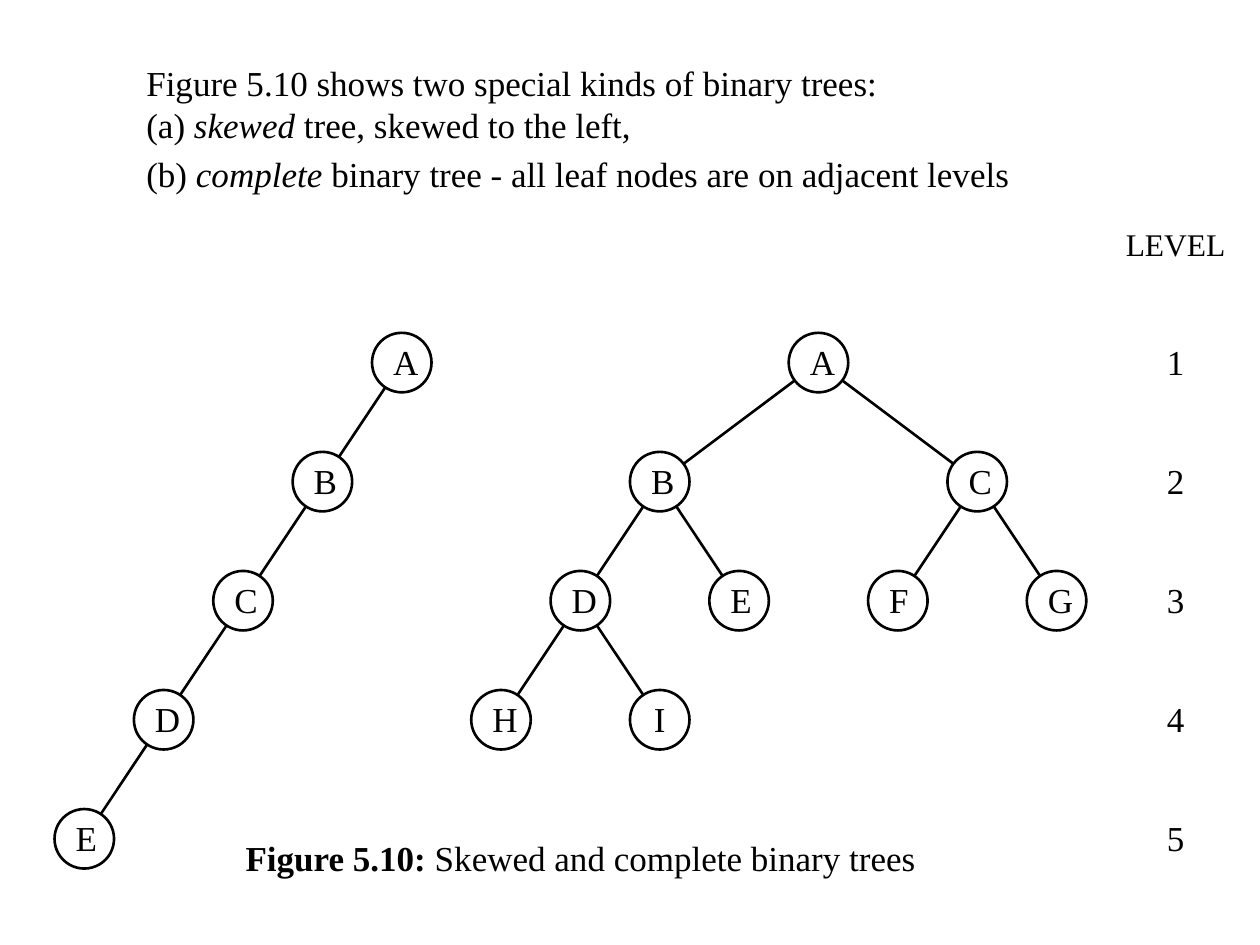
"""Build a slide comparing a skewed and a complete binary tree."""
from lxml.etree import SubElement
from pptx import Presentation
from pptx.dml.color import RGBColor
from pptx.enum.shapes import MSO_CONNECTOR, MSO_SHAPE
from pptx.enum.text import MSO_ANCHOR as Anchor, PP_ALIGN as Align
from pptx.oxml.ns import qn
from pptx.util import Cm, Pt

BLACK = RGBColor(0, 0, 0)
WHITE = RGBColor(255, 255, 255)
FONT = "Times New Roman"
NODE_SIZE, COLUMN_STEP, LEVEL_STEP, ROOT_Y = 1.2, 1.6, 2.4, 7.31
SKEWED_X, COMPLETE_X, LEVEL_X = 8.1, 16.5, 23.7


def add_run(paragraph, text, size=20, bold=False, italic=False):
    run = paragraph.add_run()
    run.text = text
    run.font.name = FONT
    run.font.size = Pt(size)
    run.font.bold = bold
    run.font.italic = italic
    run.font.color.rgb = BLACK


def add_node(label, x, y, outlined=True):
    node = slide.shapes.add_shape(
        MSO_SHAPE.OVAL, Cm(x - NODE_SIZE / 2), Cm(y - NODE_SIZE / 2), Cm(NODE_SIZE), Cm(NODE_SIZE))
    node.shadow.inherit = False
    node.fill.solid()
    node.fill.fore_color.rgb = WHITE
    if outlined:
        node.line.color.rgb = BLACK
        node.line.width = Pt(1.5)
    else:
        node.line.fill.background()
    frame = node.text_frame
    frame.vertical_anchor = Anchor.BOTTOM
    frame.margin_top, frame.margin_bottom = 0, Cm(0.03)
    frame.paragraphs[0].alignment = Align.CENTER
    add_run(frame.paragraphs[0], label)


prs = Presentation()
prs.slide_width, prs.slide_height = Cm(25.4), Cm(19.05)
slide = prs.slides.add_slide(prs.slide_layouts[6])

intro = slide.shapes.add_textbox(Cm(2.7), Cm(1.12), Cm(20), Cm(3.2)).text_frame
intro.word_wrap = True
kinds = intro.paragraphs[0]
kinds.space_before = Pt(4)
add_run(kinds, "Figure 5.10 shows two special kinds of binary trees:")
kinds.add_line_break()
add_run(kinds, "(a) ")
add_run(kinds, "skewed", italic=True)
add_run(kinds, " tree, skewed to the left,")
complete_kind = intro.add_paragraph()
complete_kind.space_before = Pt(4)
add_run(complete_kind, "(b) ")
add_run(complete_kind, "complete", italic=True)
add_run(complete_kind, " binary tree - all leaf nodes are on adjacent levels")

skewed_nodes = {label: (-level, level) for level, label in enumerate("ABCDE")}
complete_nodes = {
    "A": (0, 0), "B": (-2, 1), "C": (2, 1),
    "D": (-3, 2), "E": (-1, 2), "F": (1, 2), "G": (3, 2),
    "H": (-4, 3), "I": (-2, 3),
}
trees = [
    (SKEWED_X, skewed_nodes, ["AB", "BC", "CD", "DE"]),
    (COMPLETE_X, complete_nodes, ["AB", "AC", "BD", "BE", "CF", "CG", "DH", "DI"]),
]
for root_x, nodes, edges in trees:
    centers = {label: (root_x + column * COLUMN_STEP, ROOT_Y + level * LEVEL_STEP)
               for label, (column, level) in nodes.items()}
    for parent, child in edges:
        ends = [Cm(length) for length in centers[parent] + centers[child]]
        edge = slide.shapes.add_connector(MSO_CONNECTOR.STRAIGHT, *ends)
        edge.line.color.rgb = BLACK
        edge.line.width = Pt(1.5)
        SubElement(edge._element.spPr, qn("a:effectLst"))
    for label, (x, y) in centers.items():
        add_node(label, x, y)

for level in range(5):
    add_node(str(level + 1), LEVEL_X, ROOT_Y + level * LEVEL_STEP, outlined=False)

level_heading = slide.shapes.add_textbox(Cm(22.3), Cm(4.32), Cm(2.8), Cm(1.2)).text_frame
level_heading.word_wrap = False
level_heading.vertical_anchor = Anchor.MIDDLE
level_heading.margin_left = level_heading.margin_right = Cm(0.1)
level_heading.paragraphs[0].alignment = Align.CENTER
add_run(level_heading.paragraphs[0], "LEVEL", size=18)

caption = slide.shapes.add_textbox(Cm(4.7), Cm(16.74), Cm(14.4), Cm(1.2)).text_frame
caption.word_wrap = True
caption.paragraphs[0].space_before = Pt(4)
add_run(caption.paragraphs[0], "Figure 5.10:", bold=True)
add_run(caption.paragraphs[0], " Skewed and complete binary trees")

prs.save("out.pptx")
